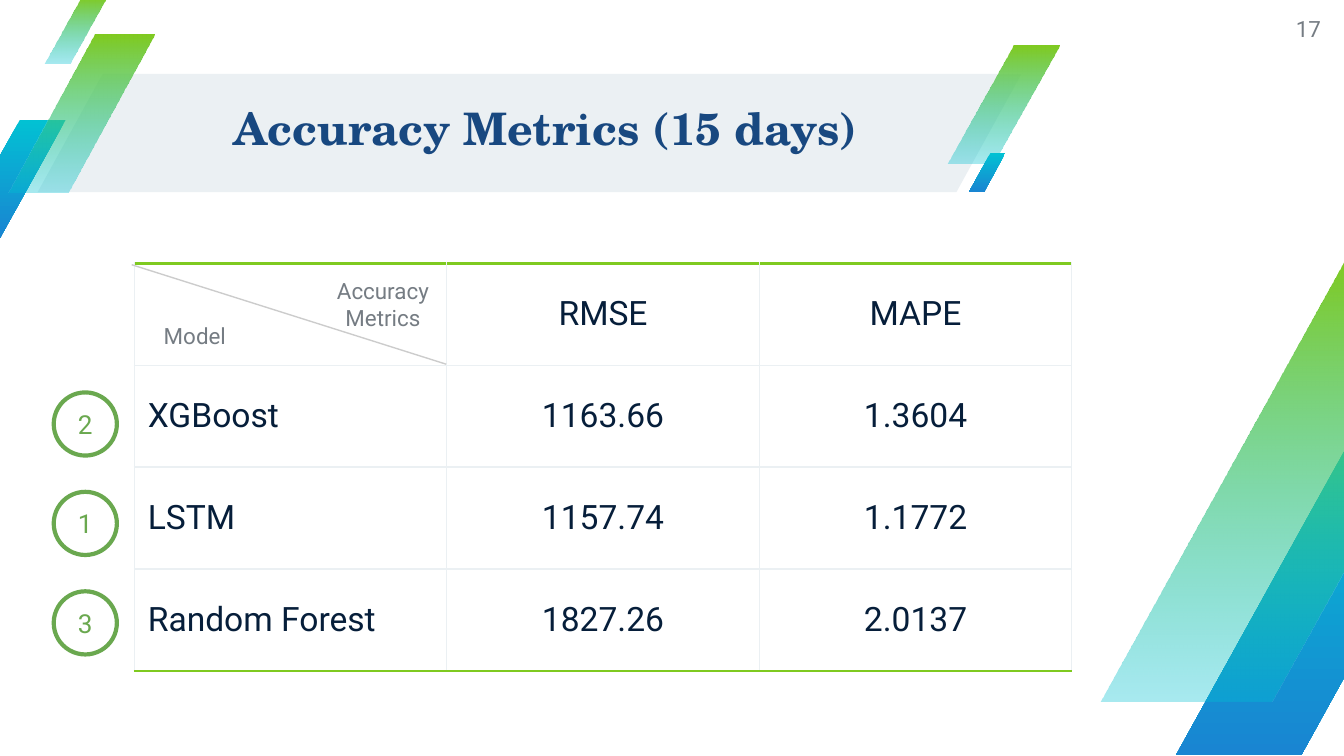
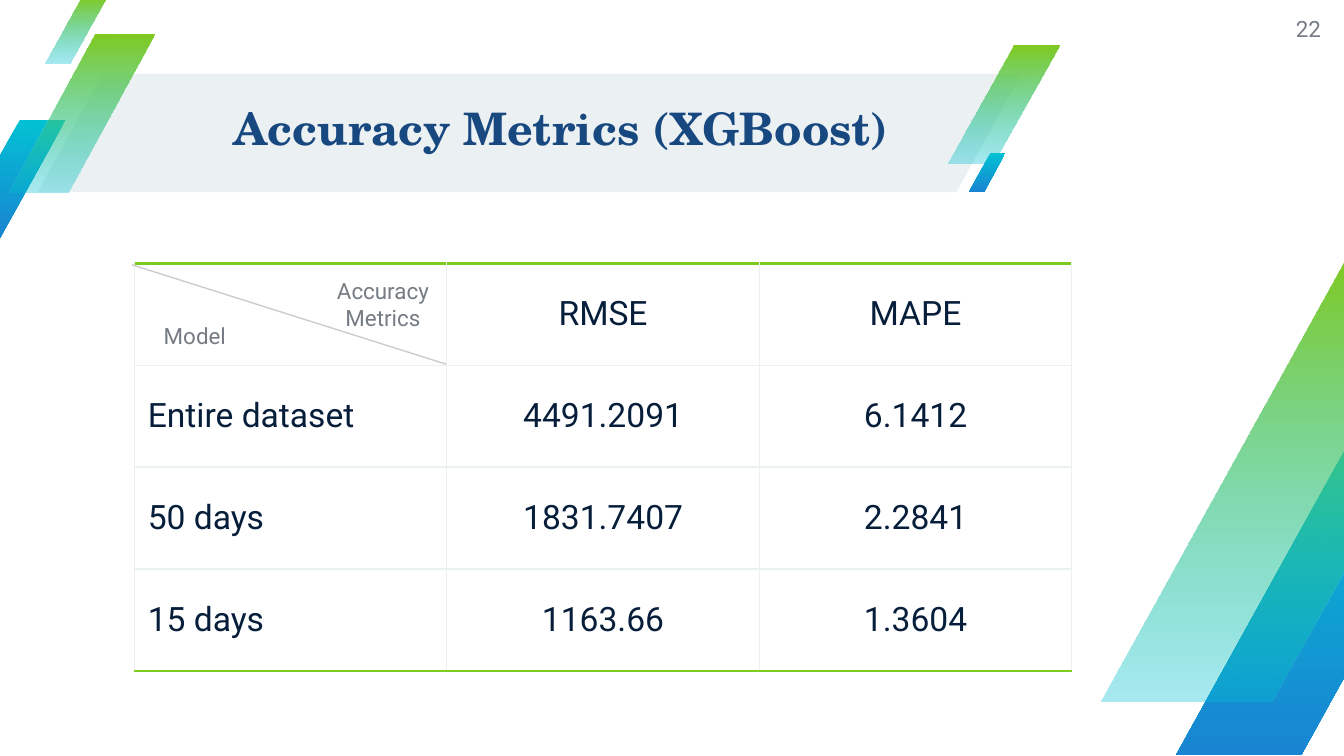
from dataclasses import dataclass

from lxml.etree import SubElement
from pptx import Presentation
from pptx.dml.color import RGBColor as RGB
from pptx.enum.shapes import MSO_AUTO_SHAPE_TYPE as Shp, MSO_CONNECTOR as Conn
from pptx.enum.text import MSO_ANCHOR as Anchor, PP_ALIGN as Align
from pptx.oxml import parse_xml
from pptx.oxml.ns import nsdecls, qn
from pptx.util import Inches, Pt

CELL = Inches(0.1)  # grid step: the slide is 100 columns wide


def grid(*lengths):
    return [round(n * CELL) for n in lengths]


@dataclass(frozen=True)
class Theme:
    body: str = "Roboto"
    heading: str = "TeX Gyre Schola"
    band: str = "EBF0F3"
    cyan: str = "02C1D3"
    blue: str = "1985D2"
    lime: str = "7FCA20"
    title: str = "184880"
    ink: str = "061E3A"
    muted: str = "757C83"
    rule: str = "CCCCCC"
    badge: str = "6AA84F"
    title_size: int = 24
    table_size: int = 18
    badge_size: int = 14
    label_size: int = 12
    thin: float = 0.75
    thick: float = 1.5
    ring: float = 2.25


# Slanted stripes: left, top, width, height, green or blue
STRIPES = [
    (-3.4, 8.9, 8.3, 8.8, "blue"),
    (70.5, 3.4, 8.3, 8.8, "green"),
    (0.6, 2.6, 10.9, 11.7, "green"),
    (3.3, -0.2, 4.6, 4.9, "green"),
    (72.1, 11.4, 2.7, 2.9, "blue"),
    (87.5, 32, 22.7, 24.2, "blue"),
    (81.9, 19.2, 31, 33, "green"),
]
TABLE_X, TABLE_Y, COL_W, ROW_H = 10, 19.6, 23.25, 7.58
METRICS = ["", "RMSE", "MAPE"]


class Deck:
    def __init__(self, theme):
        self.theme = theme
        self.prs = Presentation()
        self.prs.slide_width = Inches(10)
        self.prs.slide_height = Inches(10) * 9 // 16
        self.slide = None

    # Text
    def fill_text(self, tf, text, size, color, align=Align.CENTER, font=None, bold=False):
        tf.text = text
        for p in tf.paragraphs:
            p.alignment = align
            for r in p.runs:
                r.font.name = font or self.theme.body
                r.font.size = Pt(size)
                r.font.bold = bold
                r.font.color.rgb = RGB.from_string(color)

    def inset(self, tf, margin):
        tf.margin_left = tf.margin_right = tf.margin_top = tf.margin_bottom = grid(margin)[0]

    def text(self, box, text, size, color, margin=0, anchor=Anchor.MIDDLE, **style):
        tf = self.slide.shapes.add_textbox(*grid(*box)).text_frame
        tf.word_wrap = True
        tf.vertical_anchor = anchor
        self.inset(tf, margin)
        self.fill_text(tf, text, size, color, **style)
        return tf

    # Shapes
    def shape(self, kind, box):
        sp = self.slide.shapes.add_shape(kind, *grid(*box))
        sp.shadow.inherit = False
        sp.fill.background()
        sp.line.fill.background()
        return sp

    def stripe(self, *box, tone):
        t = self.theme
        sp = self.shape(Shp.PARALLELOGRAM, box)
        sp.adjustments[0] = 0.59
        sp.fill.gradient()
        sp.fill.gradient_angle = 270
        colors = (t.cyan, t.blue) if tone == "blue" else (t.lime, t.cyan)
        for stop, color in zip(sp.fill.gradient_stops, colors):
            stop.color.rgb = RGB.from_string(color)
        if tone == "green":  # fades out towards the bottom
            clr = list(sp.element.spPr.iter(qn("a:srgbClr")))[-1]
            SubElement(clr, qn("a:alpha")).set("val", "34000")

    def badge(self, box, text):
        t = self.theme
        sp = self.shape(Shp.OVAL, box)
        sp.line.color.rgb = RGB.from_string(t.badge)
        sp.line.width = Pt(t.ring)
        tf = sp.text_frame
        tf.vertical_anchor = Anchor.MIDDLE
        self.inset(tf, 1)
        self.fill_text(tf, text, t.badge_size, t.badge)

    def line(self, *ends):
        ln = self.slide.shapes.add_connector(Conn.STRAIGHT, *grid(*ends))
        ln.line.color.rgb = RGB.from_string(self.theme.rule)
        ln.line.width = Pt(self.theme.thin)
        SubElement(ln.element.spPr, qn("a:effectLst"))

    # Table
    def borders(self, cell, top, bottom):
        t = self.theme
        tc_pr = cell._tc.get_or_add_tcPr()
        accents = {"T": top, "B": bottom}
        for i, side in enumerate("LRTB"):
            accent = accents.get(side, False)
            color, width = (t.lime, t.thick) if accent else (t.band, t.thin)
            tc_pr.insert(i, parse_xml(
                f'<a:ln{side} {nsdecls("a")} w="{Pt(width)}"><a:solidFill>'
                f'<a:srgbClr val="{color}"/></a:solidFill></a:ln{side}>'))

    def table(self, rows):
        t = self.theme
        n_rows, n_cols = len(rows), len(rows[0])
        box = grid(TABLE_X, TABLE_Y, COL_W * n_cols, ROW_H * n_rows)
        tbl = self.slide.shapes.add_table(n_rows, n_cols, *box).table
        tbl.first_row = tbl.horz_banding = False
        for i, row in enumerate(rows):
            for j, value in enumerate(row):
                cell = tbl.cell(i, j)
                cell.fill.background()
                cell.vertical_anchor = Anchor.MIDDLE
                cell.margin_top = cell.margin_bottom = grid(0.7)[0]
                self.fill_text(cell.text_frame, value, t.table_size, t.ink,
                               align=Align.CENTER if j else Align.LEFT)
                self.borders(cell, top=i == 0, bottom=i == n_rows - 1)

    # Whole slide
    def frame(self, title, number):
        t = self.theme
        self.slide = self.prs.slides.add_slide(self.prs.slide_layouts[6])
        band = self.shape(Shp.PARALLELOGRAM, (2.8, 5.5, 73.2, 8.8))
        band.adjustments[0] = 0.55
        band.fill.solid()
        band.fill.fore_color.rgb = RGB.from_string(t.band)
        for *box, tone in STRIPES:
            self.stripe(*box, tone=tone)
        self.text((93.6, 0, 4.7, 4.3), number, t.label_size, t.muted, align=Align.RIGHT)
        tf = self.text((17.4, 5.3, 53.4, 8.9), title, t.title_size, t.title,
                       align=Align.LEFT, font=t.heading, bold=True)
        tf.paragraphs[0].line_spacing = 0.9

    def metrics_slide(self, title, number, rows, ranks=()):
        t = self.theme
        self.frame(title, number)
        self.table([METRICS] + rows)
        # Split header cell
        self.line(9.8, 19.7, 33.2, 27.1)
        for box, label in (((8.3, 23, 12.4, 4), "Model"),
                           ((23.7, 19.6, 9.6, 6.1), "Accuracy\nMetrics")):
            self.text(box, label, t.label_size, t.muted, margin=1, anchor=Anchor.TOP)
        # Rank beside each row
        for i, rank in enumerate(ranks):
            self.badge((4, 29.2 + 7.4 * i, 4.7, 4.7), rank)


def main():
    deck = Deck(Theme())
    deck.metrics_slide("Accuracy Metrics (15 days)", "17", [
        ["XGBoost", "1163.66", "1.3604"],
        ["LSTM", "1157.74", "1.1772"],
        ["Random Forest", "1827.26", "2.0137"],
    ], ranks="213")
    deck.metrics_slide("Accuracy Metrics (XGBoost)", "22", [
        ["Entire dataset", "4491.2091", "6.1412"],
        ["50 days", "1831.7407", "2.2841"],
        ["15 days", "1163.66", "1.3604"],
    ])
    deck.prs.save("out.pptx")


if __name__ == "__main__":
    main()
